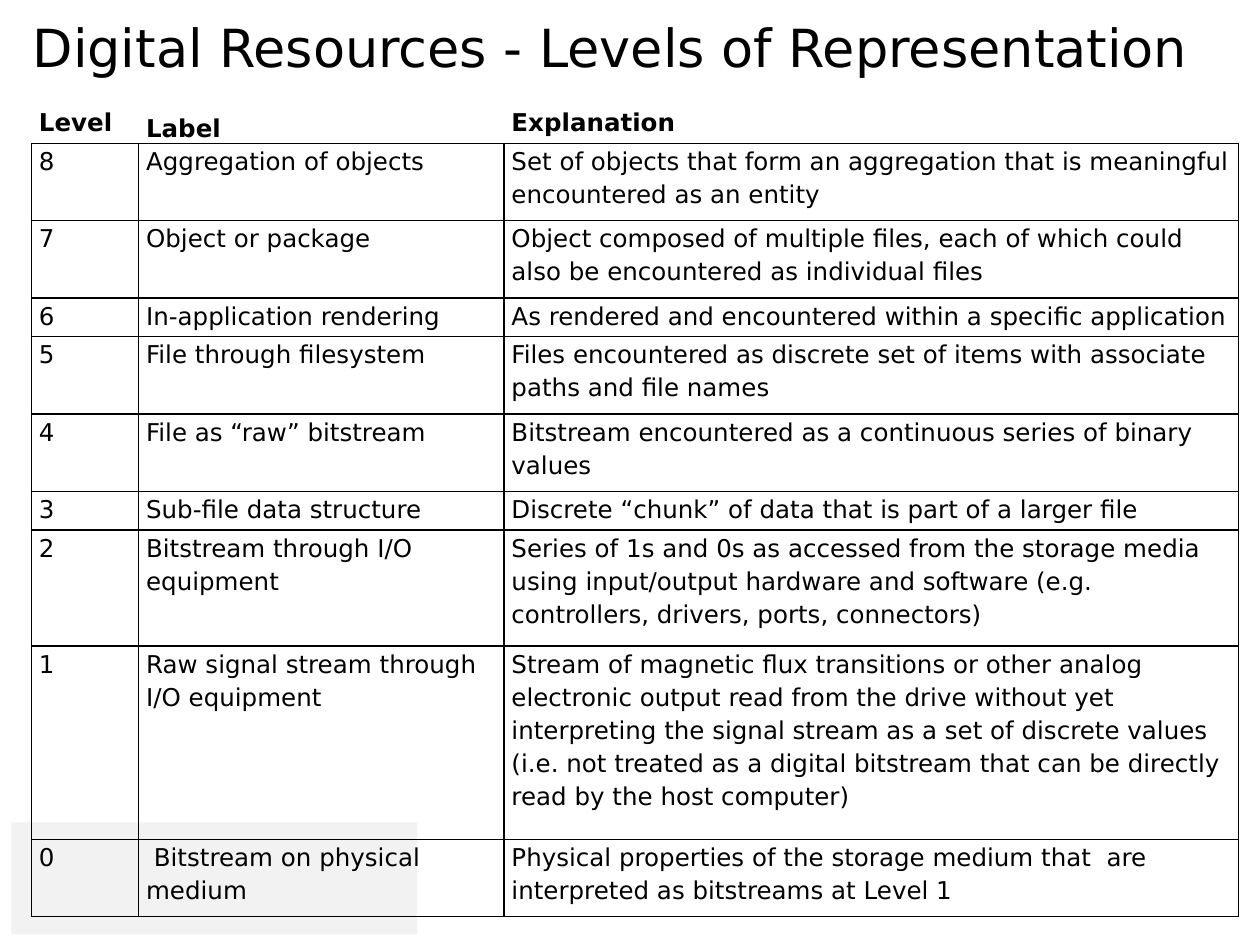
"""Build the slide on levels of representation of digital resources."""
from lxml.etree import SubElement
from pptx import Presentation
from pptx.dml.color import RGBColor
from pptx.enum.shapes import MSO_SHAPE
from pptx.enum.text import MSO_ANCHOR, MSO_AUTO_SIZE, PP_ALIGN
from pptx.oxml.ns import qn
from pptx.util import Pt

theme = {
    "font": "DejaVu Sans",
    "ink": RGBColor(0, 0, 0),
    "shade": RGBColor(0xF2, 0xF2, 0xF2),
    "title": Pt(30),
    "body": Pt(14),
}

widths = [61.2, 208.8, 419.8]
line = 22.1
rows = [
    (1, "Level", "Label", "Explanation"),
    (2, "8", "Aggregation of objects",
     "Set of objects that form an aggregation that is meaningful encountered as an entity"),
    (2, "7", "Object or package",
     "Object composed of multiple files, each of which could also be encountered as individual files"),
    (1, "6", "In-application rendering",
     "As rendered and encountered within a specific application"),
    (2, "5", "File through filesystem",
     "Files encountered as discrete set of items with associate paths and file names"),
    (2, "4", "File as “raw” bitstream",
     "Bitstream encountered as a continuous series of binary values"),
    (1, "3", "Sub-file data structure",
     "Discrete “chunk” of data that is part of a larger file"),
    (3, "2", "Bitstream through I/O equipment",
     "Series of 1s and 0s as accessed from the storage media using input/output "
     "hardware and software (e.g. controllers, drivers, ports, connectors)"),
    (5, "1", "Raw signal stream through I/O equipment",
     "Stream of magnetic flux transitions or other analog electronic output read from "
     "the drive without yet interpreting the signal stream as a set of discrete values "
     "(i.e. not treated as a digital bitstream that can be directly read by the host computer)"),
    (2, "0", " Bitstream on physical medium",
     "Physical properties of the storage medium that  are interpreted as bitstreams at Level 1"),
]


def style(item, **values):
    for name, value in values.items():
        setattr(item, name, value)


def border(cell, sides):
    props = cell._tc.get_or_add_tcPr()
    for side in "LRTB":
        edge = SubElement(props, qn(f"a:ln{side}"), w=str(Pt(1)))
        if side in sides:
            fill = SubElement(edge, qn("a:solidFill"))
            SubElement(fill, qn("a:srgbClr"), val=str(theme["ink"]))
        else:
            SubElement(edge, qn("a:noFill"))


deck = Presentation()
style(deck, slide_width=Pt(720), slide_height=Pt(540))
slide = deck.slides.add_slide(deck.slide_layouts[5])

title = slide.shapes.title
style(title, left=Pt(11.5), top=Pt(5), width=Pt(686), height=Pt(44))
frame = title.text_frame
frame.text = "Digital Resources - Levels of Representation"
style(frame, word_wrap=False, auto_size=MSO_AUTO_SIZE.NONE, vertical_anchor=MSO_ANCHOR.TOP)
para = frame.paragraphs[0]
para.alignment = PP_ALIGN.LEFT
style(para.font, name=theme["font"], size=theme["title"])
para.font.color.rgb = theme["ink"]

panel = slide.shapes.add_shape(MSO_SHAPE.RECTANGLE, Pt(6.5), Pt(470), Pt(232), Pt(64))
panel.shadow.inherit = False
panel.fill.solid()
panel.fill.fore_color.rgb = theme["shade"]
panel.line.fill.background()

total = line * sum(row[0] for row in rows)
grid = slide.shapes.add_table(
    len(rows), len(widths), Pt(18), Pt(59.8), Pt(sum(widths)), Pt(total)).table
style(grid, first_row=False, horz_banding=False)
for column, width in zip(grid.columns, widths):
    column.width = Pt(width)

for i, (count, *texts) in enumerate(rows):
    head = i == 0
    grid.rows[i].height = Pt(line * count)
    for j, text in enumerate(texts):
        cell = grid.cell(i, j)
        border(cell, "B" if head else "LRTB")
        cell.fill.background()
        low = head and j == 1
        style(cell, text=text, margin_left=Pt(4.3), margin_right=Pt(4.3),
              margin_top=0, margin_bottom=0,
              vertical_anchor=MSO_ANCHOR.BOTTOM if low else MSO_ANCHOR.TOP)
        para = cell.text_frame.paragraphs[0]
        style(para, line_spacing=1.15, space_after=Pt(0 if head else 10))
        style(para.font, name=theme["font"], size=theme["body"], bold=head)
        para.font.color.rgb = theme["ink"]

deck.save("out.pptx")
